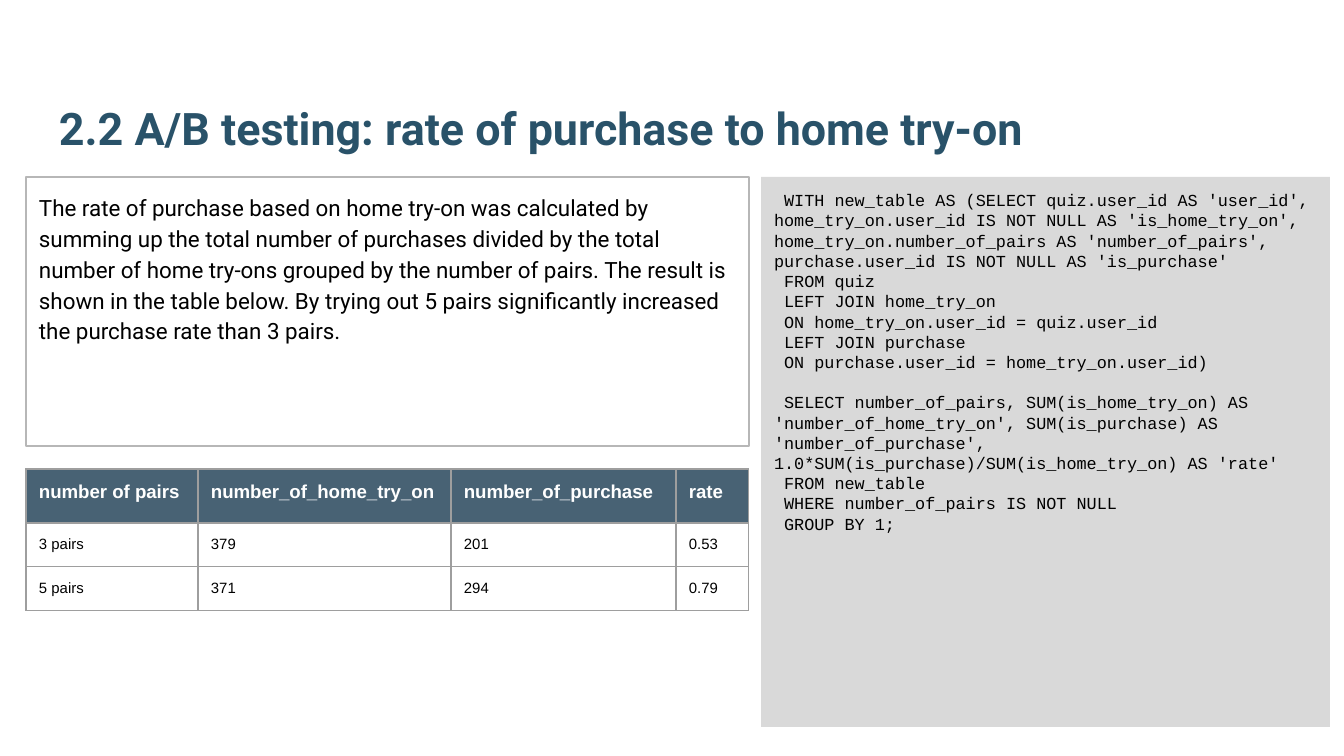
from lxml import etree
from pptx import Presentation
from pptx.dml.color import RGBColor
from pptx.enum.shapes import MSO_SHAPE
from pptx.enum.text import MSO_ANCHOR, PP_ALIGN
from pptx.oxml.ns import qn
from pptx.util import Emu, Pt

RECTANGLE = MSO_SHAPE.RECTANGLE
TOP, BOTTOM = MSO_ANCHOR.TOP, MSO_ANCHOR.BOTTOM
LEFT = PP_ALIGN.LEFT

BLACK = RGBColor(0x00, 0x00, 0x00)
WHITE = RGBColor(0xFF, 0xFF, 0xFF)
TITLE_BLUE = RGBColor(0x29, 0x52, 0x69)
HEADER_BLUE = RGBColor(0x20, 0x40, 0x56)
CODE_GREY = RGBColor(0xD9, 0xD9, 0xD9)
BOX_GREY = RGBColor(0xB7, 0xB7, 0xB7)
GRID_GREY = RGBColor(0x9E, 0x9E, 0x9E)

SLIDE_WIDTH, SLIDE_HEIGHT = 1344, 756
MARGIN = 13
LEFT_EDGE, PANEL_TOP, LEFT_WIDTH = 26, 177, 723

TITLE = "2.2 A/B testing: rate of purchase to home try-on"
SUMMARY = (
    "The rate of purchase based on home try-on was calculated by summing up the total "
    "number of purchases divided by the total number of home try-ons grouped by the "
    "number of pairs. The result is shown in the table below. By trying out 5 pairs "
    "significantly increased the purchase rate than 3 pairs."
)
QUERY = [
    " WITH new_table AS (SELECT quiz.user_id AS 'user_id', "
    "home_try_on.user_id IS NOT NULL AS 'is_home_try_on', "
    "home_try_on.number_of_pairs AS 'number_of_pairs', "
    "purchase.user_id IS NOT NULL AS 'is_purchase'",
    " FROM quiz",
    " LEFT JOIN home_try_on",
    " ON home_try_on.user_id = quiz.user_id",
    " LEFT JOIN purchase",
    " ON purchase.user_id = home_try_on.user_id)",
    " ",
    " SELECT number_of_pairs, SUM(is_home_try_on) AS 'number_of_home_try_on', "
    "SUM(is_purchase) AS 'number_of_purchase', "
    "1.0*SUM(is_purchase)/SUM(is_home_try_on) AS 'rate'",
    " FROM new_table",
    " WHERE number_of_pairs IS NOT NULL",
    " GROUP BY 1;",
]
RESULTS = [
    ["number of pairs", "number_of_home_try_on", "number_of_purchase", "rate"],
    ["3 pairs", "379", "201", "0.53"],
    ["5 pairs", "371", "294", "0.79"],
]
COLUMN_WIDTHS = [172, 253, 225, 73]
ROW_HEIGHTS = [54, 43, 43]


def px(length):
    """Turn a length in px into EMU."""
    return Emu(round(length * 914400 / 134.4))


class SlideBuilder:
    """Holds the shared style and the current slide."""

    def __init__(self, slide):
        self.slide = slide
        self.inset = px(MARGIN)

    def set_text(self, frame, lines, font, size, color, bold=False, spacing=1.0):
        """Fill a text frame with evenly styled paragraphs."""
        frame.word_wrap = True
        frame.text = "\n".join(lines)
        for paragraph in frame.paragraphs:
            paragraph.alignment = LEFT
            paragraph.line_spacing = spacing
            paragraph.font.name = font
            paragraph.font.size = Pt(size)
            paragraph.font.bold = bold
            paragraph.font.color.rgb = color

    def set_margins(self, holder):
        """Apply the common inset to a text frame or a cell."""
        holder.margin_left = holder.margin_right = self.inset
        holder.margin_top = holder.margin_bottom = self.inset

    def title(self, box, text):
        """Add the bottom-anchored slide title."""
        frame = self.slide.shapes.add_textbox(*map(px, box)).text_frame
        self.set_margins(frame)
        frame.vertical_anchor = BOTTOM
        self.set_text(frame, [text], "Roboto", 24, TITLE_BLUE, bold=True)

    def panel(self, box, lines, font, size, fill=None, line=None, spacing=1.0):
        """Add a rectangle with top-anchored text."""
        panel = self.slide.shapes.add_shape(RECTANGLE, *map(px, box))
        panel.shadow.inherit = False
        if fill is None:
            panel.fill.background()
        else:
            panel.fill.solid()
            panel.fill.fore_color.rgb = fill
        if line is None:
            panel.line.fill.background()
        else:
            panel.line.color.rgb = line
            panel.line.width = Pt(0.75)
        self.set_margins(panel.text_frame)
        panel.text_frame.vertical_anchor = TOP
        self.set_text(panel.text_frame, lines, font, size, BLACK, spacing=spacing)

    def border(self, cell):
        """Draw a thin line on all four sides of a cell."""
        properties = cell._tc.get_or_add_tcPr()
        for side in ("a:lnL", "a:lnR", "a:lnT", "a:lnB"):
            edge = etree.SubElement(properties, qn(side), w=str(Pt(0.75)))
            solid = etree.SubElement(edge, qn("a:solidFill"))
            etree.SubElement(solid, qn("a:srgbClr"), val=str(GRID_GREY))

    def table(self, left, top, rows, widths, heights):
        """Add a bordered table with a translucent header row."""
        box = (left, top, sum(widths), sum(heights))
        table = self.slide.shapes.add_table(len(rows), len(widths), *map(px, box)).table
        table.horz_banding = False
        for column, width in zip(table.columns, widths):
            column.width = px(width)
        for row, height, values in zip(table.rows, heights, rows):
            row.height = px(height)
            is_header = values is rows[0]
            for cell, value in zip(row.cells, values):
                self.set_margins(cell)
                self.border(cell)
                if is_header:
                    cell.fill.solid()
                    cell.fill.fore_color.rgb = HEADER_BLUE
                    tint = cell._tc.tcPr.find(qn("a:solidFill")).find(qn("a:srgbClr"))
                    etree.SubElement(tint, qn("a:alpha"), val="82000")
                    self.set_text(cell.text_frame, [value], "Arial", 10, WHITE, bold=True)
                else:
                    cell.fill.background()
                    self.set_text(cell.text_frame, [value], "Arial", 8, BLACK)


def main():
    """Build the slide and save it."""
    deck = Presentation()
    deck.slide_width, deck.slide_height = px(SLIDE_WIDTH), px(SLIDE_HEIGHT)
    builder = SlideBuilder(deck.slides.add_slide(deck.slide_layouts[6]))
    builder.title((46, 43, 1252, 124), TITLE)
    builder.panel((761, PANEL_TOP, 569, 550), QUERY, "Courier New", 9, fill=CODE_GREY)
    builder.panel((LEFT_EDGE, PANEL_TOP, LEFT_WIDTH, 269), [SUMMARY], "Roboto", 12,
                  line=BOX_GREY, spacing=1.15)
    builder.table(LEFT_EDGE, 469, RESULTS, COLUMN_WIDTHS, ROW_HEIGHTS)
    deck.save("out.pptx")


if __name__ == "__main__":
    main()
